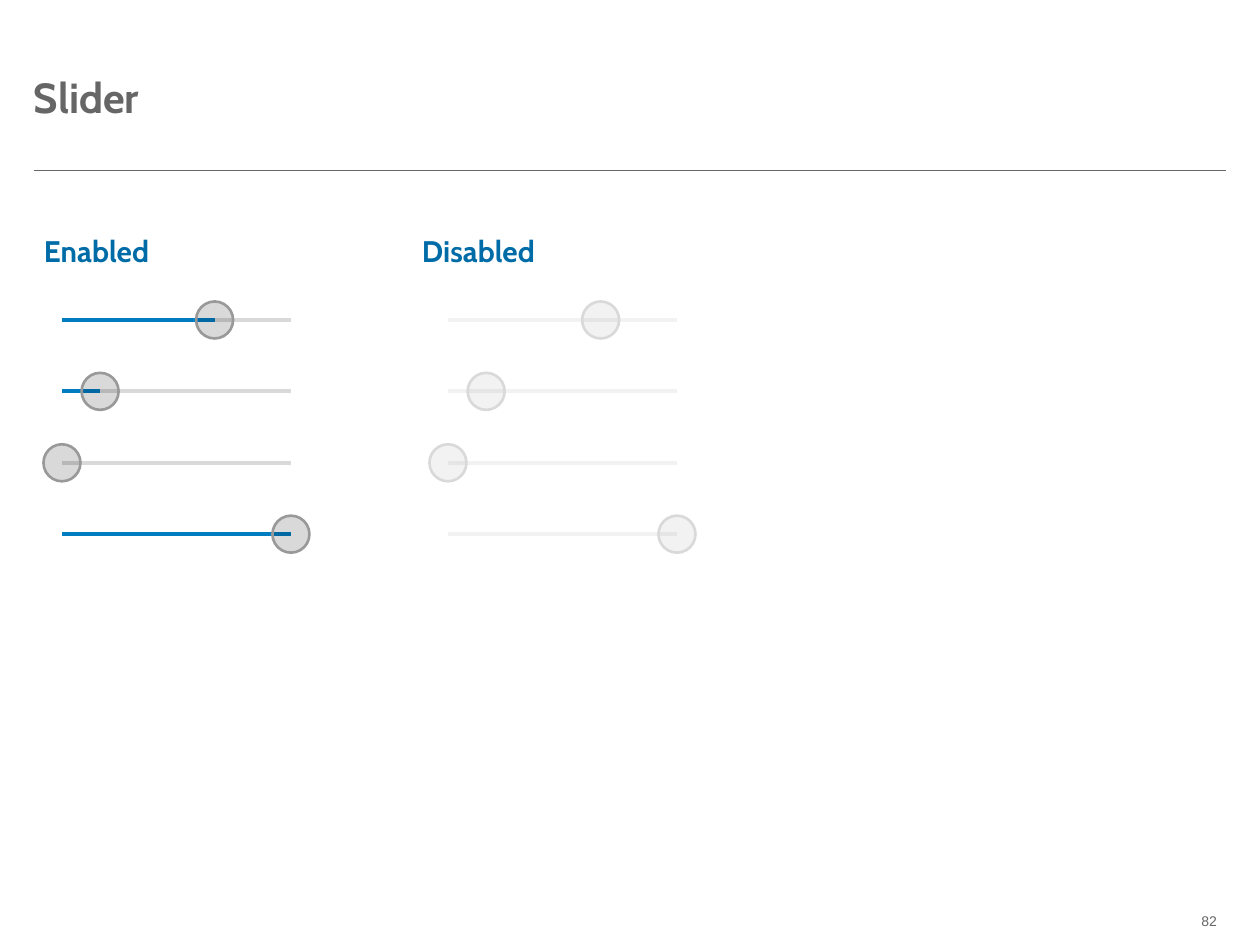
import dataclasses
import typing

import pptx
import pptx.dml.color
import pptx.enum.shapes
import pptx.enum.text
import pptx.oxml
import pptx.oxml.ns
import pptx.util

SCALE = 914400 / 126
ALIGN = pptx.enum.text.PP_ALIGN
ANCHOR = pptx.enum.text.MSO_ANCHOR
GREY, BLUE = "666666", "006CA7"
TRACK, KNOB = 229, 37
TOP, STEP = 320, 71.4
LEVELS = (2 / 3, 1 / 6, 0, 1)


@dataclasses.dataclass(frozen=True)
class Style:
    left: int
    done: str
    rest: str
    rim: str
    alpha: int


@dataclasses.dataclass(frozen=True)
class Font:
    name: str
    size: int
    color: str
    bold: bool = False


STYLES = (
    Style(62, "007CC0", "D9D9D9", "999999", 15),
    Style(448, "F2F2F2", "F2F2F2", "D9D9D9", 5),
)


def px(count: float) -> pptx.util.Emu:
    return pptx.util.Emu(round(count * SCALE))


def rgb(code: str) -> pptx.dml.color.RGBColor:
    return pptx.dml.color.RGBColor.from_string(code)


def place(shape: typing.Any, left: int, top: int, width: int, height: int) -> None:
    shape.left, shape.top = px(left), px(top)
    shape.width, shape.height = px(width), px(height)


def write(shape: typing.Any, text: str, font: Font, align: typing.Any = ALIGN.LEFT,
          anchor: typing.Any = ANCHOR.TOP, right: int = 0, tab: int = 0) -> None:
    """Fill a text shape with one run; tab is an optional stop in px."""
    frame = shape.text_frame
    frame.word_wrap = True
    frame.auto_size = pptx.enum.text.MSO_AUTO_SIZE.NONE
    frame.vertical_anchor = anchor
    frame.margin_left = frame.margin_top = frame.margin_bottom = 0
    frame.margin_right = px(right)
    para = frame.paragraphs[0]
    para.alignment = align
    if tab:
        stops = pptx.oxml.parse_xml(
            f'<a:tabLst {pptx.oxml.ns.nsdecls("a")}>'
            f'<a:tab pos="{px(tab)}" algn="l"/></a:tabLst>')
        para._p.get_or_add_pPr().append(stops)
    run = para.add_run()
    run.text = text
    run.font.name = font.name
    run.font.size = pptx.util.Pt(font.size)
    run.font.bold = font.bold
    run.font.color.rgb = rgb(font.color)


def rule(shapes: typing.Any, start: float, end: float, y: float,
         color: str, weight: float) -> None:
    """Draw a level line without a shadow."""
    line = shapes.add_connector(
        pptx.enum.shapes.MSO_CONNECTOR.STRAIGHT, px(start), px(y), px(end), px(y))
    line.line.color.rgb = rgb(color)
    line.line.width = pptx.util.Pt(weight)
    line._element.spPr.append(
        pptx.oxml.parse_xml(f'<a:effectLst {pptx.oxml.ns.nsdecls("a")}/>'))


def knob(shapes: typing.Any, x: float, y: float, style: Style) -> None:
    disc = shapes.add_shape(
        pptx.enum.shapes.MSO_SHAPE.OVAL,
        px(x - KNOB / 2), px(y - KNOB / 2), px(KNOB), px(KNOB))
    disc.shadow.inherit = False
    disc.fill.solid()
    disc.fill.fore_color.rgb = rgb("000000")
    tint = disc._element.spPr.find(".//" + pptx.oxml.ns.qn("a:srgbClr"))
    tint.append(pptx.oxml.parse_xml(
        f'<a:alpha {pptx.oxml.ns.nsdecls("a")} val="{style.alpha * 1000}"/>'))
    disc.line.color.rgb = rgb(style.rim)
    disc.line.width = pptx.util.Pt(1.5)


def slider(slide: typing.Any, style: Style, y: float, level: float) -> None:
    shapes = slide.shapes.add_group_shape().shapes
    left, right = style.left, style.left + TRACK
    split = left + TRACK * level
    if style.done == style.rest:
        rule(shapes, left, right, y, style.rest, 2.25)
    else:
        if level > 0:
            rule(shapes, left, split, y, style.done, 2.25)
        if level < 1:
            rule(shapes, split, right, y, style.rest, 2.25)
    knob(shapes, split, y, style)


def main() -> None:
    deck = pptx.Presentation()
    deck.slide_width, deck.slide_height = px(1260), px(945)
    slide = deck.slides.add_slide(deck.slide_layouts[5])
    shapes = slide.shapes

    place(shapes.title, 34, 44, 1193, 105)
    write(shapes.title, "Slider", Font("Cabin", 24, GREY, True), anchor=ANCHOR.MIDDLE)
    rule(shapes, 34, 1226, 170, GREY, 0.5)

    heads = shapes.add_textbox(px(44), px(233), px(1171), px(605))
    write(heads, "Enabled\tDisabled", Font("Cabin", 17, BLUE, True), tab=378)

    for style in STYLES:
        for row, level in enumerate(LEVELS):
            slider(slide, style, TOP + row * STEP, level)

    number = shapes.add_textbox(px(1200), px(912), px(27), px(17))
    write(number, "82", Font("Arial", 8, GREY), align=ALIGN.RIGHT, right=10)
    deck.save("out.pptx")


if __name__ == "__main__":
    main()
